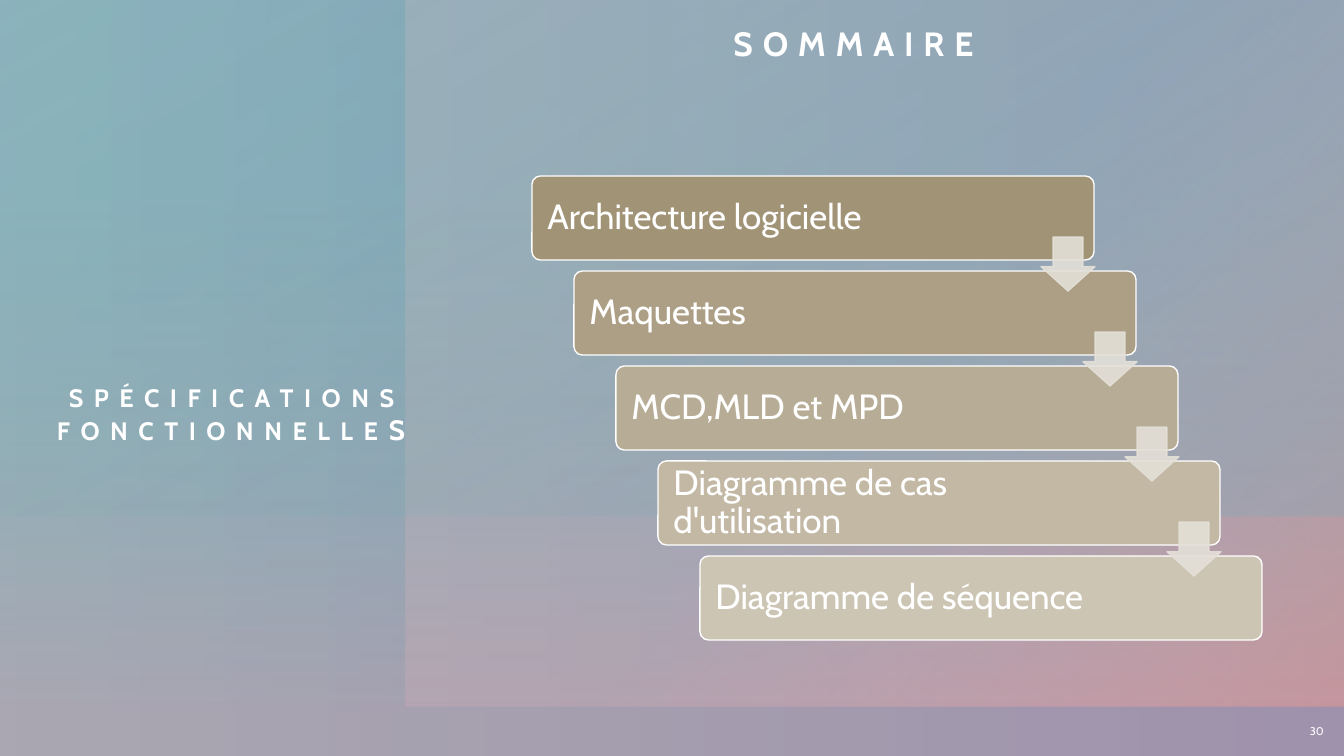
from lxml import etree
from pptx import Presentation
from pptx import util as u
from pptx.dml.color import RGBColor
from pptx.enum import shapes, text
from pptx.oxml.ns import qn

PX = 914400 / 100.8
WHITE = "FFFFFF"
FONT = "Cabin"
STEPS = [
    ("Architecture logicielle", "A19375"),
    ("Maquettes", "AC9F85"),
    ("MCD,MLD et MPD", "B7AC95"),
    ("Diagramme de cas d'utilisation", "C2B8A4"),
    ("Diagramme de séquence", "CDC5B4"),
]


def px(n):
    return u.Emu(round(n * PX))


def rgb(code):
    return RGBColor.from_string(code)


def fade(fill, alpha):
    """Make a solid fill partly transparent; alpha is in percent."""
    for tone in fill._xPr.iter(qn("a:srgbClr")):
        etree.SubElement(tone, qn("a:alpha"), val=str(alpha * 1000))


def add_box(slide, kind, box, color=None, line=None):
    shape = slide.shapes.add_shape(kind, *map(px, box))
    shape.shadow.inherit = False
    if color:
        shape.fill.solid()
        shape.fill.fore_color.rgb = rgb(color)
    if line:
        shape.line.color.rgb = rgb(line)
        shape.line.width = u.Pt(1)
    else:
        shape.line.fill.background()
    return shape


def style(run, size, bold=False, gap=0):
    """Format a run; gap is the letter spacing in points."""
    run.font.name = FONT
    run.font.size = u.Pt(size)
    run.font.bold = bold
    run.font.color.rgb = rgb(WHITE)
    if gap:
        run._r.get_or_add_rPr().set("spc", str(round(gap * 100)))


def add_label(slide, box, words, align, anchor, size, inset=0, bold=False, gap=0):
    frame = slide.shapes.add_textbox(*map(px, box)).text_frame
    frame.word_wrap = True
    frame.vertical_anchor = anchor
    frame.margin_left = frame.margin_right = px(inset)
    frame.margin_top = frame.margin_bottom = 0
    frame.text = words
    line = frame.paragraphs[0]
    line.alignment = align
    style(line.runs[0], size, bold, gap)
    return line


def add_layer(slide, box, stops, angle, turn=0, flip=False):
    """Cover box, as seen after the turn, with a see-through gradient."""
    x, y, w, h = box
    if turn % 180:
        x, y, w, h = x + (w - h) / 2, y + (h - w) / 2, h, w
    shape = add_box(slide, shapes.MSO_SHAPE.RECTANGLE, (x, y, w, h))
    shape.rotation = turn
    props = shape._element.spPr
    if flip:
        props.xfrm.set("flipH", "1")
    grad = etree.Element(qn("a:gradFill"), rotWithShape="1")
    row = etree.SubElement(grad, qn("a:gsLst"))
    for pos, color, alpha in stops:
        stop = etree.SubElement(row, qn("a:gs"), pos=str(pos * 1000))
        tone = etree.SubElement(stop, qn("a:srgbClr"), val=color)
        etree.SubElement(tone, qn("a:alpha"), val=str(alpha * 1000))
    etree.SubElement(grad, qn("a:lin"), ang=str(angle * 60000), scaled="0")
    props.find(qn("a:prstGeom")).addnext(grad)


def add_backdrop(slide, box):
    x, y, w, h = box
    add_box(slide, shapes.MSO_SHAPE.RECTANGLE, box, WHITE)
    add_layer(slide, (x, y - 1, w, h + 1),
              [(0, "7EA8B9", 83), (100, "7F90BA", 100)], 0)
    add_layer(slide, (x + 405, y - 3, w - 405, h - 46),
              [(51, "DDC0C5", 33), (100, "C6969E", 100)], 310, turn=90)
    add_layer(slide, (x, y, w, h + 1),
              [(6, "C6969E", 45), (74, "76ACA6", 21)], 0, turn=90, flip=True)
    add_layer(slide, (x, y - 1, w, 517),
              [(0, "76ACA6", 0), (99, "7EA8B9", 32)], 150, turn=270)


def add_side(slide, box):
    line = add_label(slide, box, "SPÉCIFICATIONS FONCTIONNELLE",
                     text.PP_ALIGN.RIGHT, text.MSO_ANCHOR.BOTTOM,
                     18, bold=True, gap=7.5)
    last = line.add_run()
    last.text = "S"
    style(last, 20, bold=True, gap=7.5)


def add_step(slide, box, words, color):
    card = add_box(slide, shapes.MSO_SHAPE.ROUNDED_RECTANGLE, box, color, WHITE)
    card.adjustments[0] = 0.1
    frame = card.text_frame
    frame.word_wrap = True
    frame.vertical_anchor = text.MSO_ANCHOR.MIDDLE
    frame.margin_left, frame.margin_right = px(13), px(108)
    frame.margin_top = frame.margin_bottom = 0
    frame.text = words
    line = frame.paragraphs[0]
    line.alignment = text.PP_ALIGN.LEFT
    line.line_spacing = 0.9
    style(line.runs[0], 25)


def add_arrow(slide, box):
    tint = "E4E0D8"
    arrow = add_box(slide, shapes.MSO_SHAPE.DOWN_ARROW, box, tint, tint)
    arrow.adjustments[0] = 0.55
    arrow.adjustments[1] = 0.45
    fade(arrow.fill, 90)


def add_stairs(slide, box):
    x, y, w, h = box
    count = len(STEPS)
    wide, high, shift = 562, 84, 42
    pitch = (h - high) / (count - 1)
    spots = [(x + i * shift, y + i * pitch) for i in range(count)]
    for (left, top), (words, color) in zip(spots, STEPS):
        add_step(slide, (left, top, wide, high), words, color)
    for left, top in spots[:-1]:
        add_arrow(slide, (left + wide - 53, top + 61, 54, 54))


def main():
    deck = Presentation()
    deck.slide_width, deck.slide_height = px(1344), px(756)
    slide = deck.slides.add_slide(deck.slide_layouts[6])
    middle = text.MSO_ANCHOR.MIDDLE
    add_backdrop(slide, (0, 0, 1344, 756))
    add_label(slide, (1286, 707, 48, 49), "30", text.PP_ALIGN.RIGHT, middle,
              8, inset=10)
    add_label(slide, (289, -1, 1129, 88), "SOMMAIRE", text.PP_ALIGN.CENTER,
              middle, 24, bold=True, gap=7)
    add_side(slide, (-23, 70, 428, 376))
    add_stairs(slide, (532, 176, 730, 464))
    deck.save("out.pptx")


if __name__ == "__main__":
    main()
